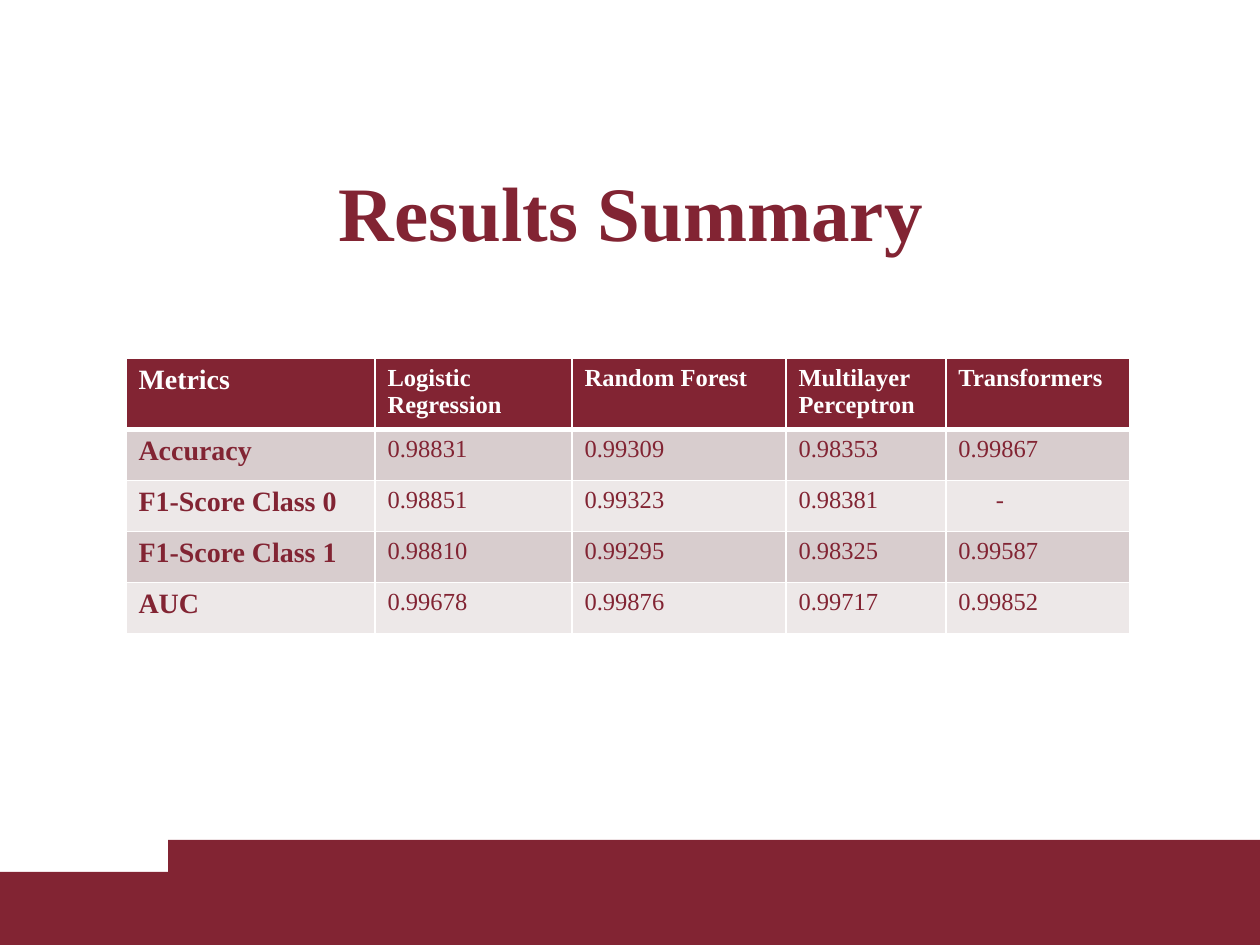
from lxml.etree import SubElement
from pptx import Presentation
from pptx.dml.color import RGBColor
from pptx.enum.shapes import MSO_SHAPE
from pptx.enum.text import MSO_ANCHOR, PP_ALIGN
from pptx.oxml.ns import qn
from pptx.util import Emu, Pt

COLORS = {
    "maroon": "822433",
    "white": "FFFFFF",
    "band_dark": "D8CDCE",
    "band_light": "EDE8E8",
}
FONT = "Times New Roman"
PX_PER_INCH = 126

HEADERS = ["Metrics", "Logistic Regression", "Random Forest",
           "Multilayer Perceptron", "Transformers"]
RESULTS = [
    ["Accuracy", "0.98831", "0.99309", "0.98353", "0.99867"],
    ["F1-Score Class 0", "0.98851", "0.99323", "0.98381", "-"],
    ["F1-Score Class 1", "0.98810", "0.99295", "0.98325", "0.99587"],
    ["AUC", "0.99678", "0.99876", "0.99717", "0.99852"],
]
COL_WIDTHS = [249, 197, 214, 160, 184]
ROW_HEIGHT = 51
DASH_MARGIN = 50


def px(n):
    return Emu(round(n * 914400 / PX_PER_INCH))


def rgb(name):
    return RGBColor.from_string(COLORS[name])


class SlideBuilder:
    def __init__(self, slide):
        self.s = slide

    def bar(self, x, y, w, h):
        sp = self.s.shapes.add_shape(MSO_SHAPE.RECTANGLE, px(x), px(y), px(w), px(h))
        sp.shadow.inherit = False
        sp.fill.solid()
        sp.fill.fore_color.rgb = rgb("maroon")
        sp.line.fill.background()

    def add_text(self, p, text, color, **style):
        r = p.add_run()
        r.text = text
        for name, value in {"name": FONT, **style}.items():
            setattr(r.font, name, value)
        r.font.color.rgb = rgb(color)

    def title(self, text, x, y, w, h):
        tf = self.s.shapes.add_textbox(px(x), px(y), px(w), px(h)).text_frame
        tf.word_wrap = True
        tf.vertical_anchor = MSO_ANCHOR.BOTTOM
        p = tf.paragraphs[0]
        p.alignment = PP_ALIGN.CENTER
        pPr = p._p.get_or_add_pPr()
        pPr.set("marL", str(px(63)))
        pPr.set("indent", str(-px(32)))
        self.add_text(p, text, "maroon", size=Pt(44), bold=True)

    def borders(self, cell, **widths):
        tcPr = cell._tc.get_or_add_tcPr()
        for side in "LRTB":
            ln = SubElement(tcPr, qn(f"a:ln{side}"), w=str(Pt(widths.get(side, 1))))
            fill = SubElement(ln, qn("a:solidFill"))
            SubElement(fill, qn("a:srgbClr"), val=COLORS["white"])

    def table(self, rows, x, y):
        tbl = self.s.shapes.add_table(
            len(rows), len(COL_WIDTHS), px(x), px(y),
            px(sum(COL_WIDTHS)), px(ROW_HEIGHT * len(rows))).table
        for col, width in zip(tbl.columns, COL_WIDTHS):
            col.width = px(width)
        for i, row in enumerate(rows):
            tbl.rows[i].height = px(ROW_HEIGHT)
            band = "band_dark" if i % 2 else "band_light"
            for j, text in enumerate(row):
                self.cell(tbl.cell(i, j), text, i, j, band)

    def cell(self, cell, text, i, j, band):
        self.borders(cell, T=3 if i == 1 else 1, B=3 if i == 0 else 1)
        cell.fill.solid()
        cell.fill.fore_color.rgb = rgb(band if i else "maroon")
        if text == "-":
            cell.margin_left = px(DASH_MARGIN)
        self.add_text(cell.text_frame.paragraphs[0], text,
                      "maroon" if i else "white",
                      size=Pt(14 if j else 16), bold=i == 0 or j == 0)


def main():
    prs = Presentation()
    prs.slide_width, prs.slide_height = px(1260), px(945)
    b = SlideBuilder(prs.slides.add_slide(prs.slide_layouts[6]))
    b.bar(0, 872, 1260, 73)
    b.bar(168, 840, 1092, 105)
    b.title("Results Summary", 112, 166, 1007, 97)
    b.table([HEADERS, *RESULTS], 126, 358)
    prs.save("out.pptx")


if __name__ == "__main__":
    main()
